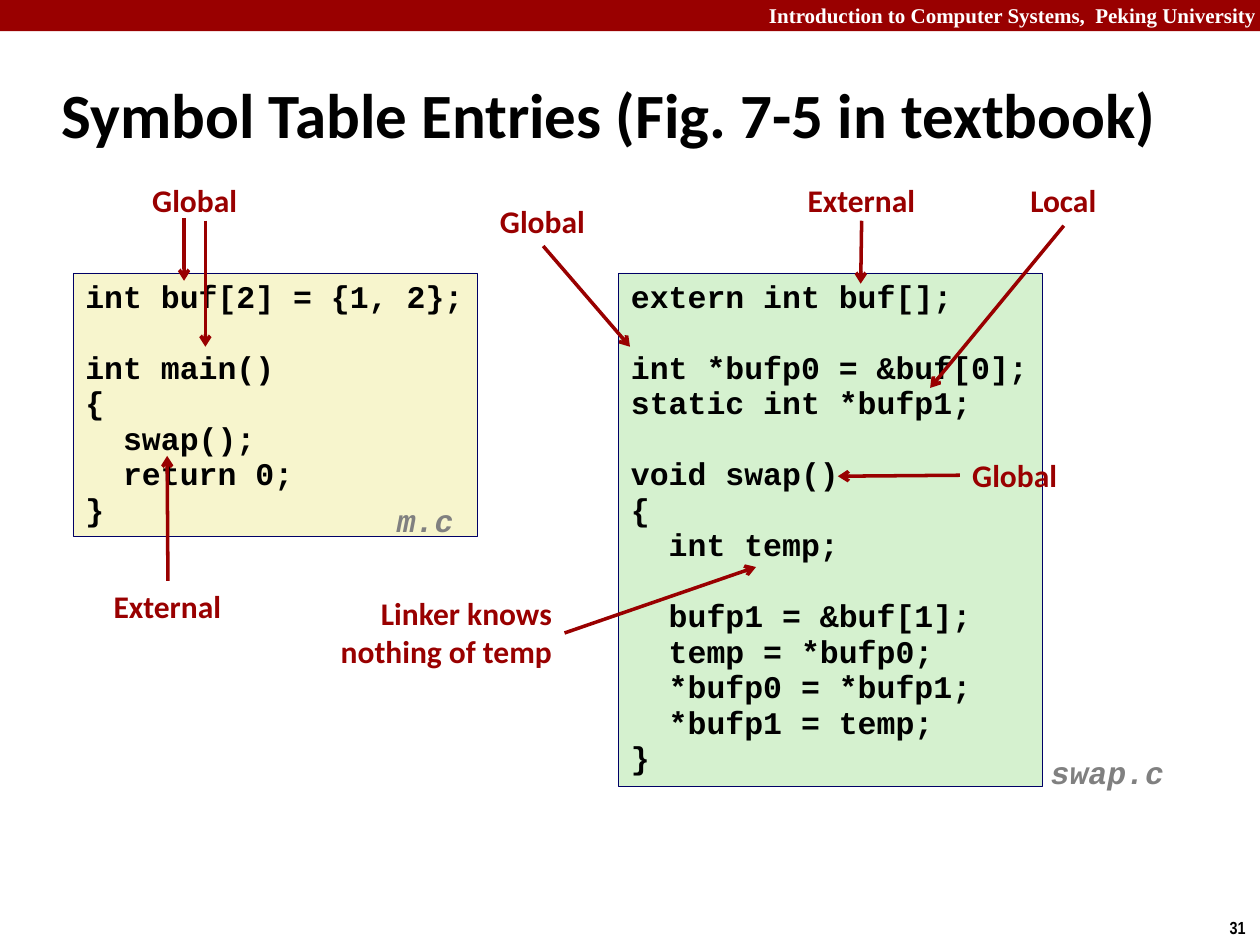
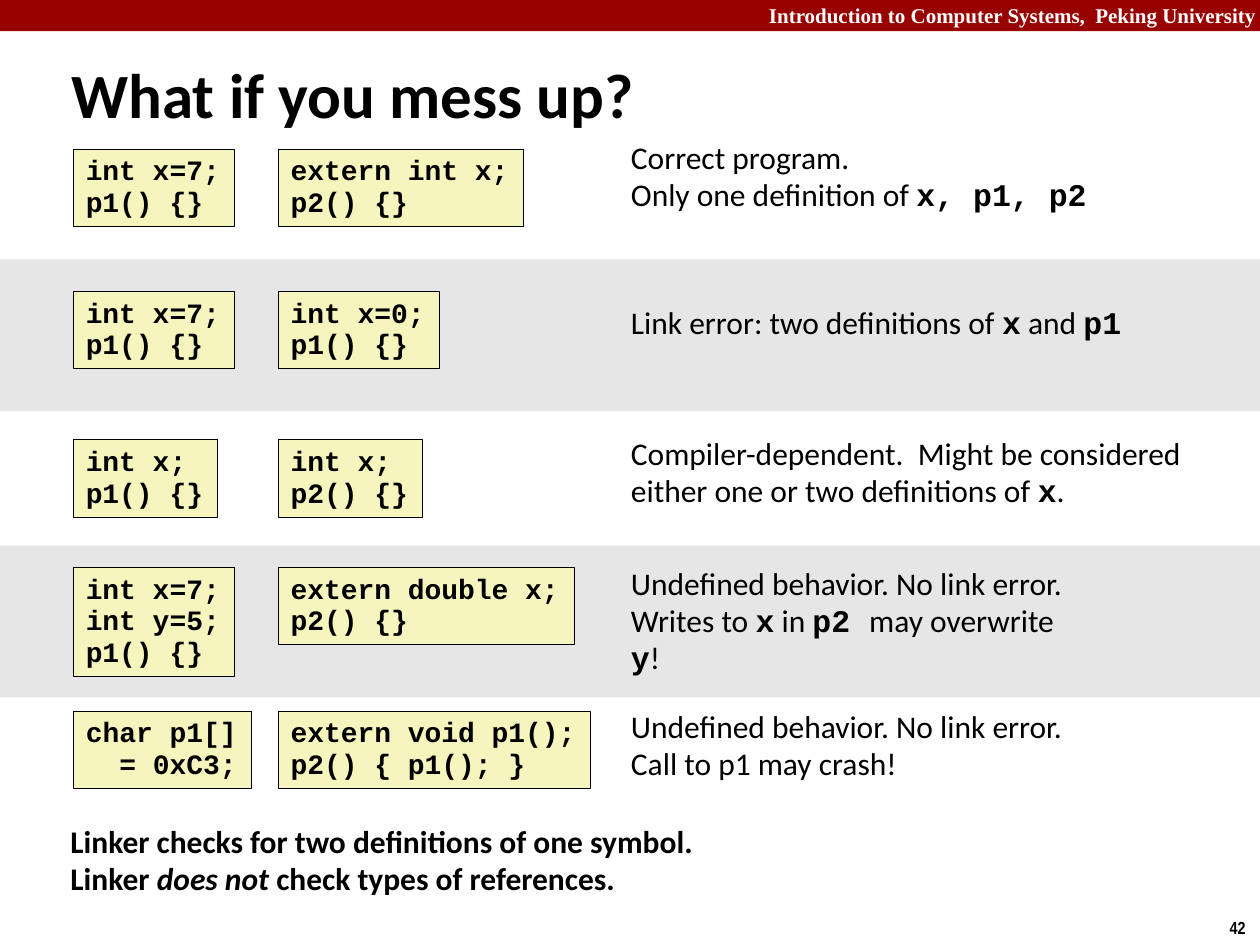
"""Build two lecture slides about linker symbols."""
from dataclasses import dataclass

from lxml.etree import SubElement
from pptx import Presentation
from pptx.dml.color import RGBColor
from pptx.enum.shapes import MSO_CONNECTOR as Connector, MSO_SHAPE as Preset
from pptx.enum.text import MSO_ANCHOR as Anchor, MSO_AUTO_SIZE as AutoSize, PP_ALIGN as Align
from pptx.oxml.ns import qn
from pptx.util import Cm, Pt

RED, BLACK, WHITE, GREY, NAVY = "990000", "000000", "FFFFFF", "808080", "000066"
CREAM, YELLOW, GREEN, STRIPE = "F7F5CD", "F6F5BD", "D5F1CF", "E6E6E6"
BODY, MONO = "Calibri", "Courier New"
SLIDE_WIDTH, SLIDE_HEIGHT = 25.4, 19.05
TOP, LEFT, RIGHT = 0, 1, 3
BOTTOM = 2
NOTE_LEFT, NOTE_SPACING = 12.47, 0.98


@dataclass(frozen=True)
class Style:
    size: float
    color: str = BLACK
    name: str = BODY
    bold: bool = True
    italic: bool = False


@dataclass(frozen=True)
class Arrow:
    """An arrow that starts at a point or at a side of its label."""
    start: tuple[float, float] | int
    end: tuple[float, float]


@dataclass(frozen=True)
class Label:
    text: str
    left: float
    top: float
    width: float
    arrows: tuple[Arrow, ...]
    align: Align = Align.LEFT


@dataclass(frozen=True)
class Case:
    """Two modules linked together, and what comes of it."""
    top: float
    first: str
    second: str
    note: str
    note_top: float
    note_width: float


LABEL, NOTE = Style(18, RED), Style(18, bold=False)
FILE_NAME = Style(18, GREY, MONO, italic=True)

MAIN_CODE = """int buf[2] = {1, 2};

int main()
{
  swap();
  return 0;
}"""
SWAP_CODE = """extern int buf[];

int *bufp0 = &buf[0];
static int *bufp1;

void swap()
{
  int temp;

  bufp1 = &buf[1];
  temp = *bufp0;
  *bufp0 = *bufp1;
  *bufp1 = temp;
}"""

LABELS = [
    Label("Global", 2.82, 3.53, 2.24,
          (Arrow((3.71, 4.39), (3.71, 5.66)), Arrow((4.14, 4.45), (4.14, 6.99)))),
    Label("External", 2.04, 11.71, 2.69, (Arrow(TOP, (3.37, 9.19)),)),
    Label("External", 16.03, 3.53, 2.69, (Arrow((17.37, 4.45), (17.35, 5.72)),)),
    Label("Local", 20.52, 3.53, 1.85, (Arrow(BOTTOM, (18.75, 7.82)),)),
    Label("Global", 19.35, 9.07, 2.24, (Arrow(LEFT, (16.89, 9.6)),)),
    Label("Linker knows\nnothing of temp", 6.58, 11.86, 4.8,
          (Arrow(RIGHT, (15.24, 11.43)),), Align.RIGHT),
    Label("Global", 9.83, 3.94, 2.24, (Arrow(BOTTOM, (12.7, 6.99)),)),
]

CASES = [
    Case(3, "int x=7;\np1() {}", "extern int x;\np2() {}",
         "Correct program.\nOnly one definition of `x, p1, p2`", 2.69, 9.78),
    Case(5.87, "int x=7;\np1() {}", "int x=0;\np1() {}",
         "Link error: two definitions of `x` and `p1`", 6.02, 10.52),
    Case(8.86, "int x;\np1() {}", "int x;\np2() {}",
         "Compiler-dependent.  Might be considered\n"
         "either one or two definitions of `x`.", 8.66, 11.76),
    Case(11.43, "int x=7;\nint y=5;\np1() {}", "extern double x;\np2() {}",
         "Undefined behavior. No link error.\n"
         "Writes to `x` in `p2 `may overwrite `y`!", 11.28, 9.63),
    Case(14.33, "char p1[]\n  = 0xC3;", "extern void p1();\np2() { p1(); }",
         "Undefined behavior. No link error.\nCall to p1 may crash!", 14.17, 9.63),
]


def rgb(color: str) -> RGBColor:
    """Turn a hex string into a colour."""
    return RGBColor.from_string(color)


def set_font(font, style: Style) -> None:
    """Apply a style to a font."""
    font.size, font.name = Pt(style.size), style.name
    font.bold, font.italic = style.bold, style.italic
    font.color.rgb = rgb(style.color)


def write(box, text: str, style: Style, align=Align.LEFT, spacing=1.0) -> None:
    """Write lines into a box; parts between backticks are code."""
    frame = box.text_frame
    frame.word_wrap, frame.vertical_anchor = False, Anchor.TOP
    for number, line in enumerate(text.split("\n")):
        para = frame.paragraphs[0] if number == 0 else frame.add_paragraph()
        para.alignment, para.line_spacing = align, spacing
        set_font(para.font, style)
        for index, piece in enumerate(line.split("`")):
            if piece:
                span = para.add_run()
                span.text = piece
                if index % 2:
                    span.font.name, span.font.bold = MONO, True


def add_text(page, text: str, left: float, top: float, width: float, height: float,
             style: Style, align=Align.LEFT, spacing=1.0):
    """Add a text box."""
    box = page.shapes.add_textbox(Cm(left), Cm(top), Cm(width), Cm(height))
    write(box, text, style, align, spacing)
    return box


def add_rectangle(page, left: float, top: float, width: float, height: float,
                  fill: str, outline: str | None = None):
    """Add a flat rectangle with an optional hairline."""
    box = page.shapes.add_shape(Preset.RECTANGLE, Cm(left), Cm(top), Cm(width), Cm(height))
    box.shadow.inherit = False
    box.fill.solid()
    box.fill.fore_color.rgb = rgb(fill)
    if outline:
        box.line.color.rgb = rgb(outline)
        box.line.width = Pt(0.25)
    else:
        box.line.fill.background()
    return box


def add_code(page, code: str, left: float, top: float, size: float,
             fill: str, outline: str) -> None:
    """Add a code box sized to its text; empty lines become space before."""
    lines = code.split("\n")
    width = 0.53 + max(map(len, lines)) * size * 0.0212
    height = 0.28 + len(lines) * size * 0.04
    box = add_rectangle(page, left, top, width, height, fill, outline)
    pitch = Pt(size * 1.128)
    shown = [line for line in lines if line]
    write(box, "\n".join(shown), Style(size, name=MONO), spacing=pitch)
    after_gap = [not before for before, line in zip(["start"] + lines, lines) if line]
    for para, gap in zip(box.text_frame.paragraphs, after_gap):
        if gap:
            para.space_before = pitch


def add_arrow(page, label_box, arrow: Arrow) -> None:
    """Draw a red arrow, joined to its label where it starts at a side."""
    joined = isinstance(arrow.start, int)
    start = arrow.end if joined else arrow.start
    line = page.shapes.add_connector(Connector.STRAIGHT, *map(Cm, start + arrow.end))
    if joined:
        line.begin_connect(label_box, arrow.start)
    line.line.color.rgb = rgb(RED)
    line.line.width = Pt(2)
    properties = line.line._get_or_add_ln()
    SubElement(properties, qn("a:tailEnd"), type="arrow")
    SubElement(properties.getparent(), qn("a:effectLst"))


def add_page(deck, title: str, number: str, left: float, top: float,
             width: float, height: float):
    """Add a slide with the header band, its title and page number."""
    page = deck.slides.add_slide(deck.slide_layouts[5])
    add_rectangle(page, 0, 0, SLIDE_WIDTH, 0.63, RED)
    add_text(page, "Introduction to Computer Systems,  Peking University",
             15.24, -0.08, 10.34, 0.76, Style(12, WHITE, "Times New Roman"), Align.RIGHT)
    add_text(page, number, 24.54, 18.36, 0.86, 0.69, Style(10, name="Arial Narrow"))
    box = page.shapes.title
    box.left, box.top, box.width, box.height = map(Cm, (left, top, width, height))
    write(box, title, Style(36))
    frame = box.text_frame
    frame.auto_size, frame.word_wrap = AutoSize.NONE, True
    frame.vertical_anchor = Anchor.MIDDLE
    return page


def build_symbols(deck) -> None:
    """Show which symbols of two files are global, external or local."""
    page = add_page(deck, "Symbol Table Entries (Fig. 7-5 in textbook)", "31",
                    0.99, 1.22, 23.34, 2.11)
    add_code(page, MAIN_CODE, 1.47, 5.5, 18, CREAM, NAVY)
    add_text(page, "m.c", 7.75, 9.98, 1.65, 0.99, FILE_NAME)
    add_code(page, SWAP_CODE, 12.47, 5.5, 18, GREEN, NAVY)
    add_text(page, "swap.c", 20.93, 15.06, 2.79, 0.99, FILE_NAME)
    for label in LABELS:
        height = 1.02 + 0.78 * label.text.count("\n")
        box = add_text(page, label.text, label.left, label.top, label.width, height,
                       LABEL, label.align)
        for arrow in label.arrows:
            add_arrow(page, box, arrow)


def build_cases(deck) -> None:
    """Show five pairs of modules and how the linker treats them."""
    page = add_page(deck, "What if you mess up?", "42", 1.19, 0.79, 24.21, 2.18)
    for top in (5.23, 11):
        add_rectangle(page, 0, top, SLIDE_WIDTH, 3.06, STRIPE)
    for case in CASES:
        add_code(page, case.first, 1.48, case.top, 16, YELLOW, BLACK)
        add_code(page, case.second, 5.61, case.top, 16, YELLOW, BLACK)
        height = 1.02 + 0.76 * case.note.count("\n")
        add_text(page, case.note, NOTE_LEFT, case.note_top, case.note_width, height,
                 NOTE, spacing=NOTE_SPACING)
    summary = add_text(page, "Linker checks for two definitions of one symbol.",
                       1.17, 16.48, 13.16, 1.78, LABEL, spacing=NOTE_SPACING)
    closing = summary.text_frame.add_paragraph()
    closing.line_spacing = NOTE_SPACING
    for para in summary.text_frame.paragraphs:
        set_font(para.font, Style(18))
    for text in ("Linker ", "does not ", "check types of references."):
        span = closing.add_run()
        span.text = text
        span.font.italic = text == "does not "


def main() -> None:
    """Build and save the deck."""
    deck = Presentation()
    deck.slide_width, deck.slide_height = Cm(SLIDE_WIDTH), Cm(SLIDE_HEIGHT)
    build_symbols(deck)
    build_cases(deck)
    deck.save("out.pptx")


if __name__ == "__main__":
    main()
